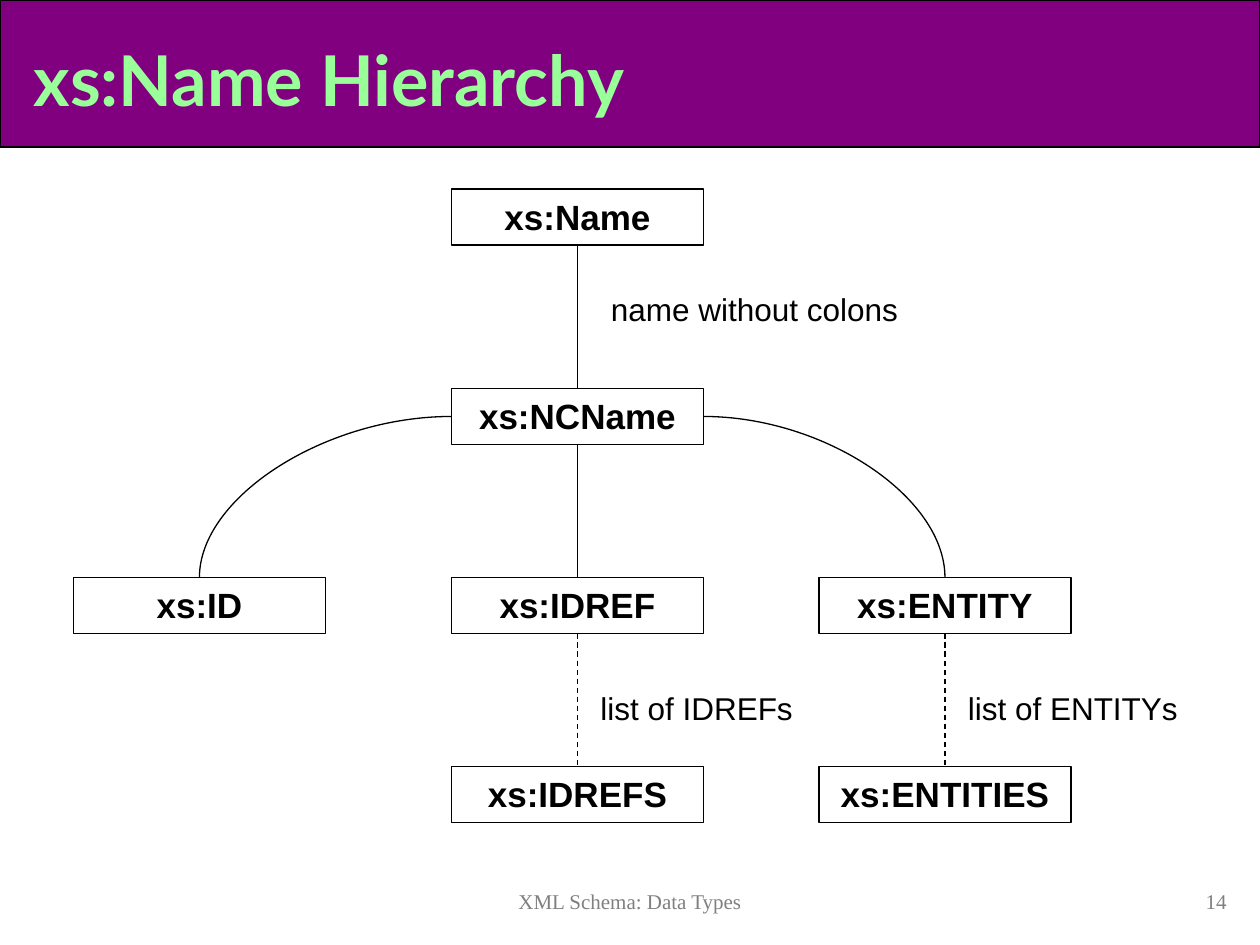
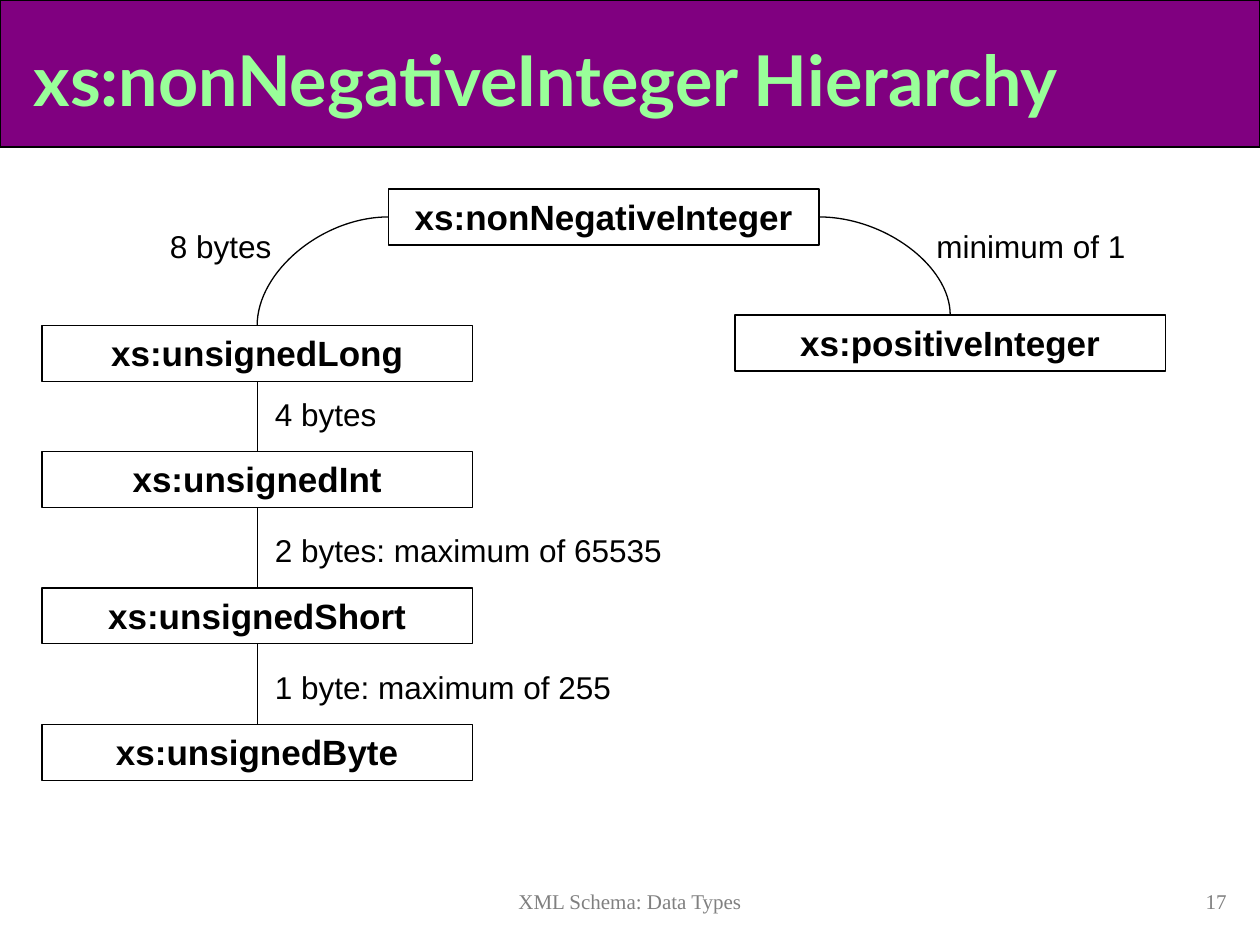
from dataclasses import dataclass

from lxml import etree
from pptx import Presentation
from pptx import util as u
from pptx.dml import color
from pptx.enum import dml, shapes, text
from pptx.oxml import ns

COLUMNS, ROWS = 120, 90
CELL = u.Inches(10) // COLUMNS
NODE_ROWS = 5.33
LABEL_ROWS = 4.8
TOP, LEFT, BOTTOM, RIGHT = range(4)

BLACK, WHITE, PURPLE, MINT, GREY = "000000", "FFFFFF", "800080", "99FF99", "808080"
ALIGN = text.PP_ALIGN
TITLE = dict(size=u.Pt(40), name="Lato", bold=True)
NODE = dict(size=u.Pt(20), name="Arial", bold=True)
LABEL = dict(size=u.Pt(18), name="Arial", bold=False)
FOOTER = dict(size=u.Pt(12), name="Times New Roman", bold=False)
INSETS = dict(margin_left=u.Inches(0.1), margin_right=u.Inches(0.1),
              margin_top=u.Inches(0.05), margin_bottom=u.Inches(0.05),
              word_wrap=True, auto_size=text.MSO_AUTO_SIZE.NONE)


@dataclass
class Box:
    col: float
    row: float
    cols: float
    rows: float

    def area(self, col, row, cols, rows):
        return Box(self.col + col, self.row + row, cols, rows)

    def lengths(self):
        return [round(n * CELL) for n in (self.col, self.row, self.cols, self.rows)]


PAGE = Box(0, 0, COLUMNS, ROWS)
HEADER = PAGE.area(0, 0, COLUMNS, 14)
DIAGRAM = PAGE.area(0, 18, COLUMNS, 61)
FOOT = PAGE.area(0, 84, COLUMNS, 4)


def rgb(hex_value):
    return color.RGBColor.from_string(hex_value)


def apply(target, formats):
    for key, value in formats.items():
        setattr(target, key, value)


def write(shape, words, font, ink=BLACK, align=ALIGN.LEFT, anchor=text.MSO_ANCHOR.TOP):
    frame = shape.text_frame
    frame.text = words
    apply(frame, dict(INSETS, vertical_anchor=anchor))
    paragraph = frame.paragraphs[0]
    paragraph.alignment = align
    run = paragraph.runs[0]
    apply(run.font, font)
    run.font.color.rgb = rgb(ink)


def outline(line):
    line.color.rgb = rgb(BLACK)
    line.width = u.Pt(0.75)


def rectangle(slide, box, fill):
    panel = slide.shapes.add_shape(shapes.MSO_SHAPE.RECTANGLE, *box.lengths())
    panel.shadow.inherit = False
    panel.fill.solid()
    panel.fill.fore_color.rgb = rgb(fill)
    outline(panel.line)
    return panel


def caption(slide, box, words, font, ink=BLACK, align=ALIGN.LEFT):
    write(slide.shapes.add_textbox(*box.lengths()), words, font, ink, align)


def link(slide, parent, child, side, dashed):
    curved = side != BOTTOM
    kind = shapes.MSO_CONNECTOR.CURVE if curved else shapes.MSO_CONNECTOR.STRAIGHT
    branch = slide.shapes.add_connector(kind, 0, 0, 0, 0)
    branch.begin_connect(parent, side)
    branch.end_connect(child, TOP)
    outline(branch.line)
    if dashed:
        branch.line.dash_style = dml.MSO_LINE.DASH
    properties = branch.element.spPr
    if curved:
        properties.find(ns.qn("a:prstGeom")).set("prst", "curvedConnector2")
    etree.SubElement(properties, ns.qn("a:effectLst"))


def header(slide, box, words):
    band = rectangle(slide, box, PURPLE)
    title = slide.shapes.title
    title.element.addprevious(band.element)
    place = box.area(2, 2, 115, 11).lengths()
    apply(title, dict(zip(("left", "top", "width", "height"), place)))
    write(title, words, TITLE, MINT, anchor=text.MSO_ANCHOR.MIDDLE)


def footer(slide, box, number):
    caption(slide, box.area(29, 0, 62, 4), "XML Schema: Data Types", FOOTER, GREY, ALIGN.CENTER)
    caption(slide, box.area(93, 0, 25, 4), str(number), FOOTER, GREY, ALIGN.RIGHT)


def hierarchy(slide, box, node_cols, types, links, labels):
    nodes = {}
    for name, (col, row) in types.items():
        nodes[name] = rectangle(slide, box.area(col, row, node_cols, NODE_ROWS), WHITE)
        write(nodes[name], "xs:" + name, NODE, align=ALIGN.CENTER)
    for parent, child, side, dashed in links:
        link(slide, nodes[parent], nodes[child], side, dashed)
    for words, col, row, cols in labels:
        caption(slide, box.area(col, row, cols, LABEL_ROWS), words, LABEL)


NAME_TREE = dict(
    node_cols=24,
    types={
        "Name": (43, 0), "NCName": (43, 19),
        "ID": (7, 37), "IDREF": (43, 37), "ENTITY": (78, 37),
        "IDREFS": (43, 55), "ENTITIES": (78, 55),
    },
    links=[
        ("Name", "NCName", BOTTOM, False),
        ("NCName", "IDREF", BOTTOM, False),
        ("NCName", "ID", LEFT, False),
        ("NCName", "ENTITY", RIGHT, False),
        ("IDREF", "IDREFS", BOTTOM, True),
        ("ENTITY", "ENTITIES", BOTTOM, True),
    ],
    labels=[
        ("name without colons", 57, 9, 32),
        ("list of IDREFs", 56, 47, 21),
        ("list of ENTITYs", 91, 47, 23),
    ],
)

INTEGER_TREE = dict(
    node_cols=41,
    types={
        "nonNegativeInteger": (37, 0), "positiveInteger": (70, 12),
        "unsignedLong": (4, 13), "unsignedInt": (4, 25),
        "unsignedShort": (4, 38), "unsignedByte": (4, 51),
    },
    links=[
        ("nonNegativeInteger", "positiveInteger", RIGHT, False),
        ("nonNegativeInteger", "unsignedLong", LEFT, False),
        ("unsignedLong", "unsignedInt", BOTTOM, False),
        ("unsignedInt", "unsignedShort", BOTTOM, False),
        ("unsignedShort", "unsignedByte", BOTTOM, False),
    ],
    labels=[
        ("minimum of 1", 88, 3, 23),
        ("8 bytes", 15, 3, 13),
        ("4 bytes", 25, 19, 13),
        ("2 bytes: maximum of 65535", 25, 32, 40),
        ("1 byte: maximum of 255", 25, 45, 35),
    ],
)

PAGES = [
    ("xs:Name Hierarchy", 14, NAME_TREE),
    ("xs:nonNegativeInteger Hierarchy", 17, INTEGER_TREE),
]


def main():
    deck = Presentation()
    deck.slide_width, deck.slide_height = COLUMNS * CELL, ROWS * CELL
    title_only = deck.slide_layouts[5]
    for heading, number, tree in PAGES:
        slide = deck.slides.add_slide(title_only)
        header(slide, HEADER, heading)
        hierarchy(slide, DIAGRAM, **tree)
        footer(slide, FOOT, number)
    deck.save("out.pptx")


if __name__ == "__main__":
    main()
